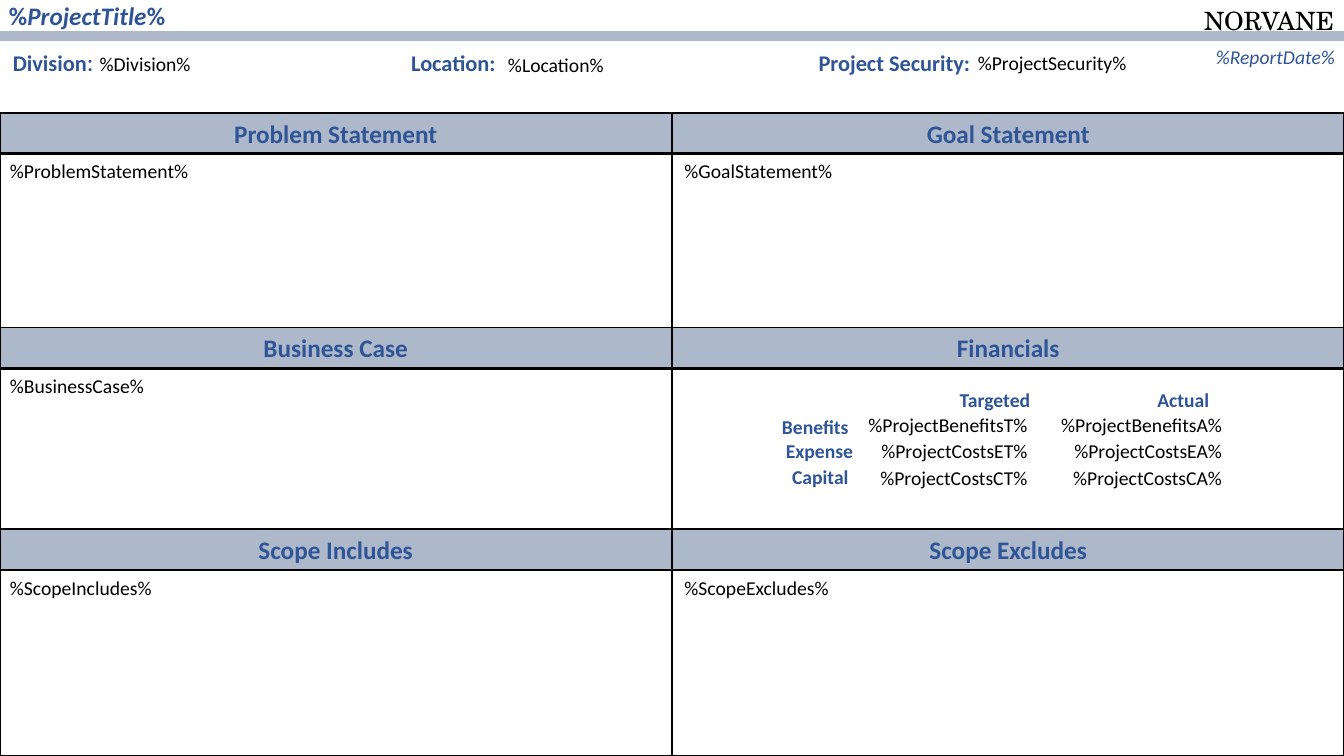
from pptx import Presentation
from pptx.dml.color import RGBColor
from pptx.enum.shapes import MSO_SHAPE as Shape
from pptx.enum.text import MSO_ANCHOR as Anchor, MSO_AUTO_SIZE as Fit, PP_ALIGN as Align
from pptx.util import Inches, Pt

BLUE, BAND, BLACK = "2F5597", "ADB9CA", "000000"
LABEL = dict(size=Pt(14), bold=True, color=BLUE)
VALUE = dict(size=Pt(14), color=BLACK)
HEAD = dict(size=Pt(18), bold=True, color=BLUE)
FIELD = LABEL | dict(size=Pt(16))

HALF = 6.66
COLS = (0, 6.67)
# Panel rows: top, bottom, then (heading, field) for each column
PANELS = (
    (1.12, 3.26, ("Problem Statement", "%ProblemStatement%"),
     ("Goal Statement", "%GoalStatement%")),
    (3.25, 5.27, ("Business Case", "%BusinessCase%"), ("Financials", None)),
    (5.25, 7.5, ("Scope Includes", "%ScopeIncludes%"),
     ("Scope Excludes", "%ScopeExcludes%")),
)
MONEY = (
    ("%ProjectBenefitsT%", "%ProjectBenefitsA%"),
    ("%ProjectCostsET%", "%ProjectCostsEA%"),
    ("%ProjectCostsCT%", "%ProjectCostsCA%"),
)


def paint(color, code):
    color.rgb = RGBColor.from_string(code)


def add_run(para, text, form):
    run = para.add_run()
    run.text = text
    for key, val in ({"name": "Calibri"} | form).items():
        if key == "color":
            paint(run.font.color, val)
        else:
            setattr(run.font, key, val)


def add_text(slide, x, y, w, runs, h=0.34, align=Align.LEFT):
    """Add a one-line text box; runs is a list of (text, format)."""
    box = slide.shapes.add_textbox(*map(Inches, (x, y, w, h)))
    frame = box.text_frame
    frame.word_wrap = True
    frame.auto_size = Fit.SHAPE_TO_FIT_TEXT
    para = frame.paragraphs[0]
    para.alignment = align
    for text, form in runs:
        add_run(para, text, form)
    return frame


def add_box(slide, x, y, w, h, fill=None, line=None):
    box = slide.shapes.add_shape(Shape.RECTANGLE, *map(Inches, (x, y, w, h)))
    box.shadow.inherit = False
    if fill:
        box.fill.solid()
        paint(box.fill.fore_color, fill)
    else:
        box.fill.background()
    if line:
        paint(box.line.color, line)
        box.line.width = Pt(1)
    else:
        box.line.fill.background()
    return box


def add_panel(slide, x, top, end, head, field):
    bar = add_box(slide, x, top, HALF, 0.4, BAND, BLACK)
    bar.text_frame.vertical_anchor = Anchor.MIDDLE
    para = bar.text_frame.paragraphs[0]
    para.alignment = Align.CENTER
    add_run(para, head, HEAD)
    body = top + 0.41
    add_box(slide, x, body, HALF, end - body, line=BLACK)
    if field:
        add_text(slide, x + (0.02 if x else 0), body, HALF, [(field, VALUE)])


def add_header(slide):
    add_text(slide, 11.16, 0, 2.17, [("NORVANE", dict(
        name="TeX Gyre Schola", size=Pt(18), color=BLACK))], 0.4, Align.RIGHT)
    add_box(slide, 0, 0.31, 13.33, 0.1, BAND)
    add_text(slide, -0.01, -0.05, 9.34, [
        ("%", HEAD), ("ProjectTitle", HEAD | dict(italic=True)), ("%", HEAD)], 0.4)
    add_text(slide, 9.6, 0.4, 3.74, [("%ReportDate%", dict(
        size=Pt(14), italic=True, color=BLUE))], align=Align.RIGHT)
    # Project fields
    add_text(slide, 0.03, 0.41, 1.2, [
        ("Division", FIELD), (":", HEAD | dict(bold=False))], 0.4)
    add_text(slide, 3.98, 0.44, 1.3, [("Location:", FIELD)], 0.37)
    add_text(slide, 8.02, 0.44, 2, [("Project Security:", FIELD)], 0.37)
    for x, y, text in ((0.89, 0.47, "%Division%"), (4.94, 0.48, "%Location%"),
                       (9.6, 0.46, "%ProjectSecurity%")):
        add_text(slide, x, y, 2.26, [(text, VALUE)])


def add_money(slide):
    for x, text in ((9.42, "Targeted"), (11.38, "Actual")):
        add_text(slide, x, 3.8, 1.2, [(text, LABEL)])
    # Row labels
    frame = add_text(slide, 7.56, 4.07, 1, [("Benefits ", LABEL)], 0.84, Align.RIGHT)
    for text, gap in (("Expense", 0), ("Capital ", 2)):
        para = frame.add_paragraph()
        para.alignment = Align.RIGHT
        para.space_before = Pt(gap)
        add_run(para, text, LABEL)
    # Values, right-aligned under each heading
    for i, row in enumerate(MONEY):
        for x, text in zip((8.37, 10.3), row):
            add_text(slide, x, 4.05 + 0.26 * i, 1.92, [(text, VALUE)],
                     align=Align.RIGHT)


def main():
    deck = Presentation()
    deck.slide_width, deck.slide_height = Inches(13.33), Inches(7.5)
    slide = deck.slides.add_slide(deck.slide_layouts[6])
    add_header(slide)
    for top, end, *cells in PANELS:
        for x, (head, field) in zip(COLS, cells):
            add_panel(slide, x, top, end, head, field)
    add_money(slide)
    deck.save("out.pptx")


main()
